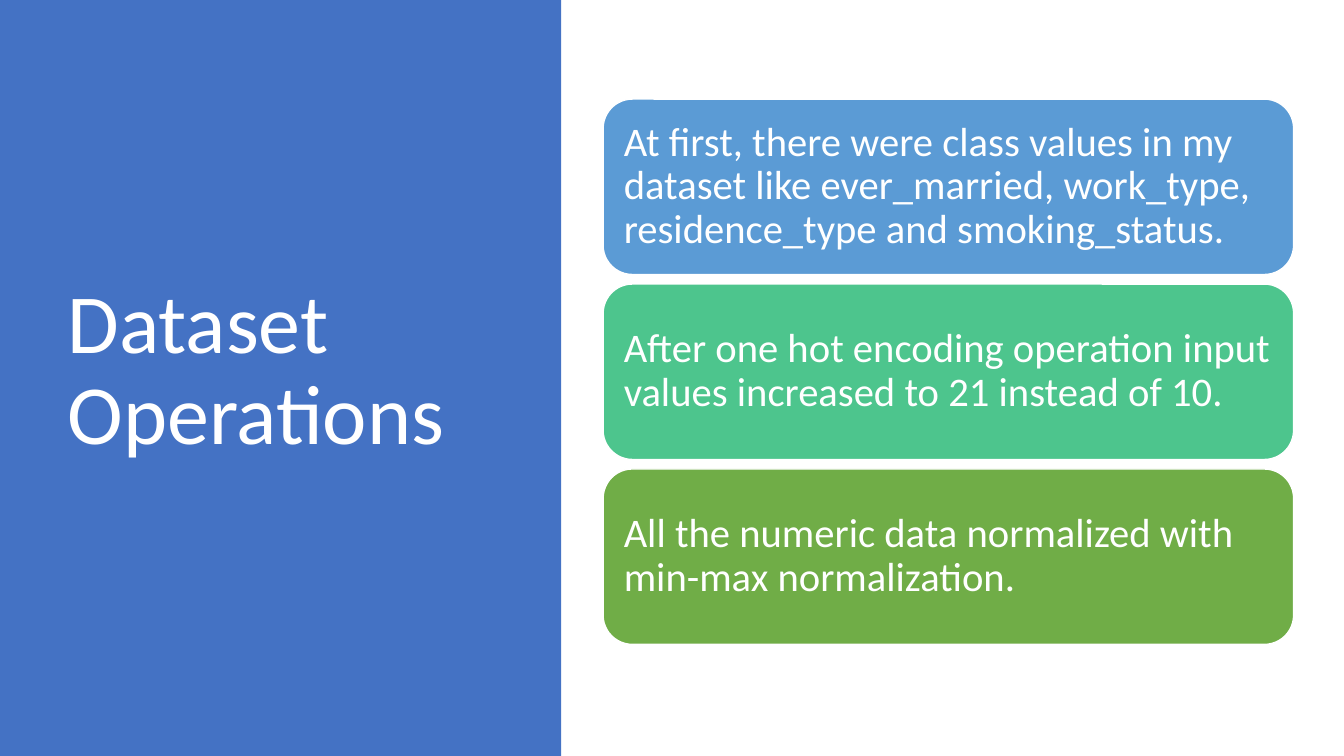
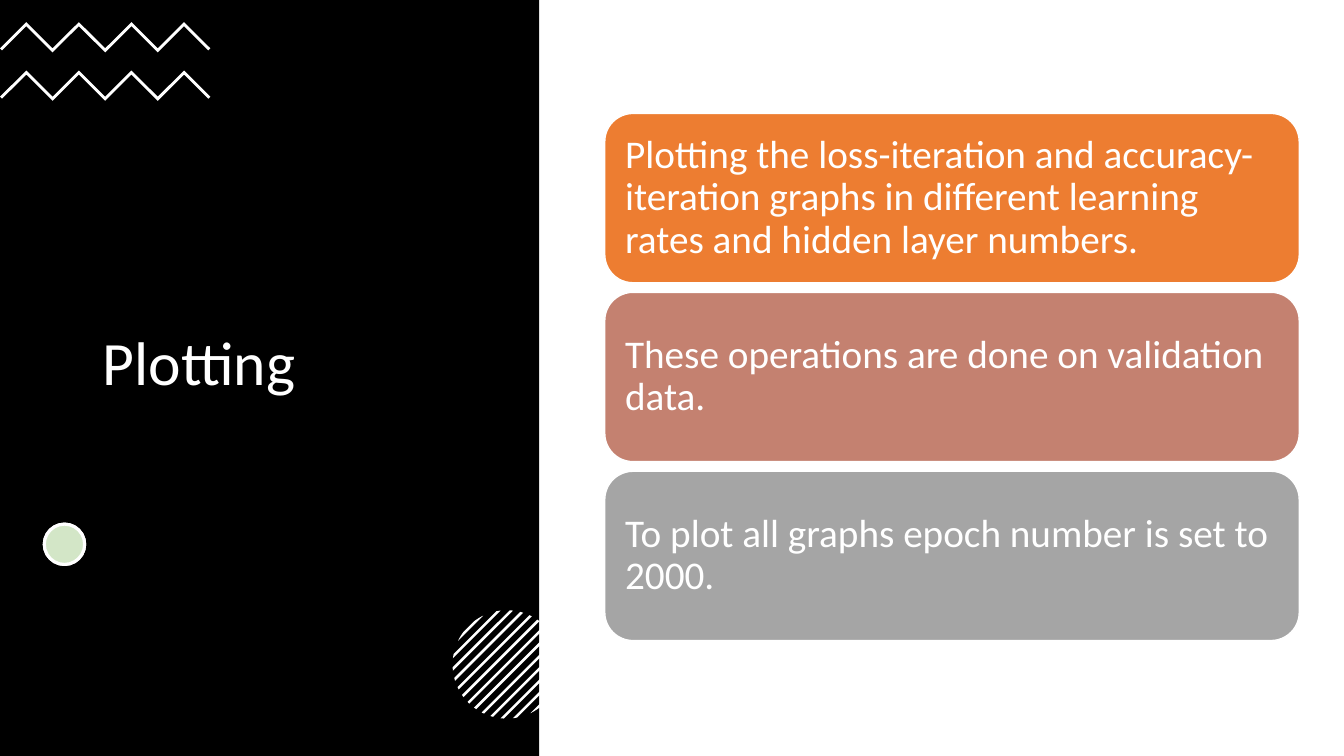
import math
from dataclasses import dataclass

import lxml.etree
import pptx
import pptx.dml.color
import pptx.enum.shapes
import pptx.enum.text
import pptx.oxml.ns
import pptx.util

COLUMNS, ROWS = 160, 90
SLIDE_WIDTH = pptx.util.Inches(13.33)
SLIDE_HEIGHT = pptx.util.Inches(7.5)
FONT = "Calibri"
LINE_SPACING = 0.9
CARD_GAP = 1.14
CARD_INSET = pptx.util.Inches(0.12)
COLORS = {
    "white": "FFFFFF",
    "black": "000000",
    "royal": "4472C4",
    "sky": "5B9BD5",
    "mint": "4DC58D",
    "green": "70AD47",
    "orange": "ED7D31",
    "clay": "C48170",
    "gray": "A5A5A5",
}
PRESETS = pptx.enum.shapes.MSO_SHAPE


@dataclass(frozen=True)
class Box:
    column: float
    row: float
    columns: float
    rows: float

    def emu(self) -> tuple[int, int, int, int]:
        return (across(self.column), down(self.row),
                across(self.columns), down(self.rows))


@dataclass(frozen=True)
class Card:
    text: str
    color: str


@dataclass(frozen=True)
class Topic:
    title: str
    title_box: Box
    title_size: int
    panel_color: str
    panel_columns: float
    first_card: Box
    card_size: int
    cards: tuple[Card, ...]
    decorated: bool = False


TOPICS = (
    Topic(
        "Dataset Operations", Box(6.84, 8.16, 49.92, 72.24), 60,
        "royal", 66.8, Box(71.8, 11.8, 82.2, 20.88), 29,
        (
            Card("At first, there were class values in my dataset like ever_married, "
                 "work_type, residence_type and smoking_status.", "sky"),
            Card("After one hot encoding operation input values increased to 21 "
                 "instead of 10.", "mint"),
            Card("All the numeric data normalized with min-max normalization.", "green"),
        ),
    ),
    Topic(
        "Plotting", Box(11.04, 15.72, 42, 55.56), 44,
        "black", 64.2, Box(72, 13.5, 82.68, 20.16), 28,
        (
            Card("Plotting the loss-iteration and accuracy-iteration graphs in "
                 "different learning rates and hidden layer numbers.", "orange"),
            Card("These operations are done on validation data.", "clay"),
            Card("To plot all graphs epoch number is set to 2000.", "gray"),
        ),
        decorated=True,
    ),
)


def across(columns: float) -> int:
    return round(SLIDE_WIDTH * columns / COLUMNS)


def down(rows: float) -> int:
    return round(SLIDE_HEIGHT * rows / ROWS)


def rgb(name: str) -> pptx.dml.color.RGBColor:
    return pptx.dml.color.RGBColor.from_string(COLORS[name])


def paint(shape, color: str, outline: float = 0) -> None:
    shape.shadow.inherit = False
    shape.fill.solid()
    shape.fill.fore_color.rgb = rgb(color)
    if outline:
        shape.line.color.rgb = rgb("white")
        shape.line.width = pptx.util.Pt(outline)
    else:
        shape.line.fill.background()


def add_preset(slide, preset, box: Box, color: str, outline: float = 0):
    shape = slide.shapes.add_shape(preset, *box.emu())
    paint(shape, color, outline)
    return shape


def write(shape, text: str, size: int) -> None:
    frame = shape.text_frame
    frame.text = text
    frame.word_wrap = True
    frame.auto_size = pptx.enum.text.MSO_AUTO_SIZE.NONE
    frame.vertical_anchor = pptx.enum.text.MSO_ANCHOR.MIDDLE
    paragraph = frame.paragraphs[0]
    paragraph.alignment = pptx.enum.text.PP_ALIGN.LEFT
    paragraph.line_spacing = LINE_SPACING
    paragraph.font.name = FONT
    paragraph.font.size = pptx.util.Pt(size)
    paragraph.font.color.rgb = rgb("white")


def add_title(slide, topic: Topic) -> None:
    title = slide.shapes.title
    title.left, title.top, title.width, title.height = topic.title_box.emu()
    write(title, topic.title, topic.title_size)
    panel = add_preset(slide, PRESETS.RECTANGLE,
                       Box(0, 0, topic.panel_columns, ROWS), topic.panel_color)
    title.element.addprevious(panel.element)


def add_cards(slide, topic: Topic) -> None:
    first = topic.first_card
    for index, card in enumerate(topic.cards):
        row = first.row + index * (first.rows + CARD_GAP)
        box = Box(first.column, row, first.columns, first.rows)
        shape = add_preset(slide, PRESETS.ROUNDED_RECTANGLE, box, card.color, 1)
        write(shape, card.text, topic.card_size)
        frame = shape.text_frame
        frame.margin_left = frame.margin_right = CARD_INSET
        frame.margin_top = frame.margin_bottom = CARD_INSET


def add_outline(slide, points: list[tuple[float, float]]) -> None:
    corners = [(across(x), down(y)) for x, y in points]
    builder = slide.shapes.build_freeform(*corners[0])
    builder.add_line_segments(corners[1:], close=True)
    paint(builder.convert_to_shape(), "white")


def add_zigzag(slide, top: float) -> None:
    step, rise, thickness, bevel = 3.13, 3.12, 0.48, 0.24
    count = 9
    upper = [(i * step, top + rise * (i % 2 == 0)) for i in range(count)]
    lower = [(x, y + thickness) for x, y in upper[1:-1]]
    end = (upper[-1][0] - bevel, upper[-1][1] + bevel)
    start = (bevel, upper[0][1] + bevel)
    add_outline(slide, upper + [end] + lower[::-1] + [start])


def add_striped_circle(slide, x: float, y: float, radius: float) -> None:
    reach, arc_steps = 6, 6
    pitch = radius / 6.2
    thickness = 0.29 * pitch

    def rim(distance: float, side: int) -> tuple[float, float]:
        share = max(-1, min(1, distance / radius))
        angle = math.pi / 4 + side * math.acos(share)
        return x + radius * math.cos(angle), y + radius * math.sin(angle)

    for stripe in range(-reach, reach + 1):
        near = stripe * pitch - thickness / 2
        distances = [near + thickness * i / arc_steps for i in range(arc_steps + 1)]
        add_outline(slide, [rim(d, 1) for d in distances]
                    + [rim(d, -1) for d in reversed(distances)])


def add_dot(slide) -> None:
    box = Box(5.28, 62.4, 4.8, 4.8)
    add_preset(slide, PRESETS.OVAL, box, "white", 2.25)
    tint = add_preset(slide, PRESETS.OVAL, box, "green", 2.25)
    color = tint.element.spPr.find(pptx.oxml.ns.qn("a:solidFill"))[0]
    lxml.etree.SubElement(color, pptx.oxml.ns.qn("a:alpha"), val="30000")


def add_decorations(slide) -> None:
    for top in (2.64, 8.4):
        add_zigzag(slide, top)
    add_dot(slide)
    add_striped_circle(slide, 60.33, 79.1, 6.45)


def main() -> None:
    deck = pptx.Presentation()
    deck.slide_width, deck.slide_height = SLIDE_WIDTH, SLIDE_HEIGHT
    title_only = deck.slide_layouts.get_by_name("Title Only")
    for topic in TOPICS:
        slide = deck.slides.add_slide(title_only)
        add_title(slide, topic)
        if topic.decorated:
            add_decorations(slide)
        add_cards(slide, topic)
    deck.save("out.pptx")


if __name__ == "__main__":
    main()
